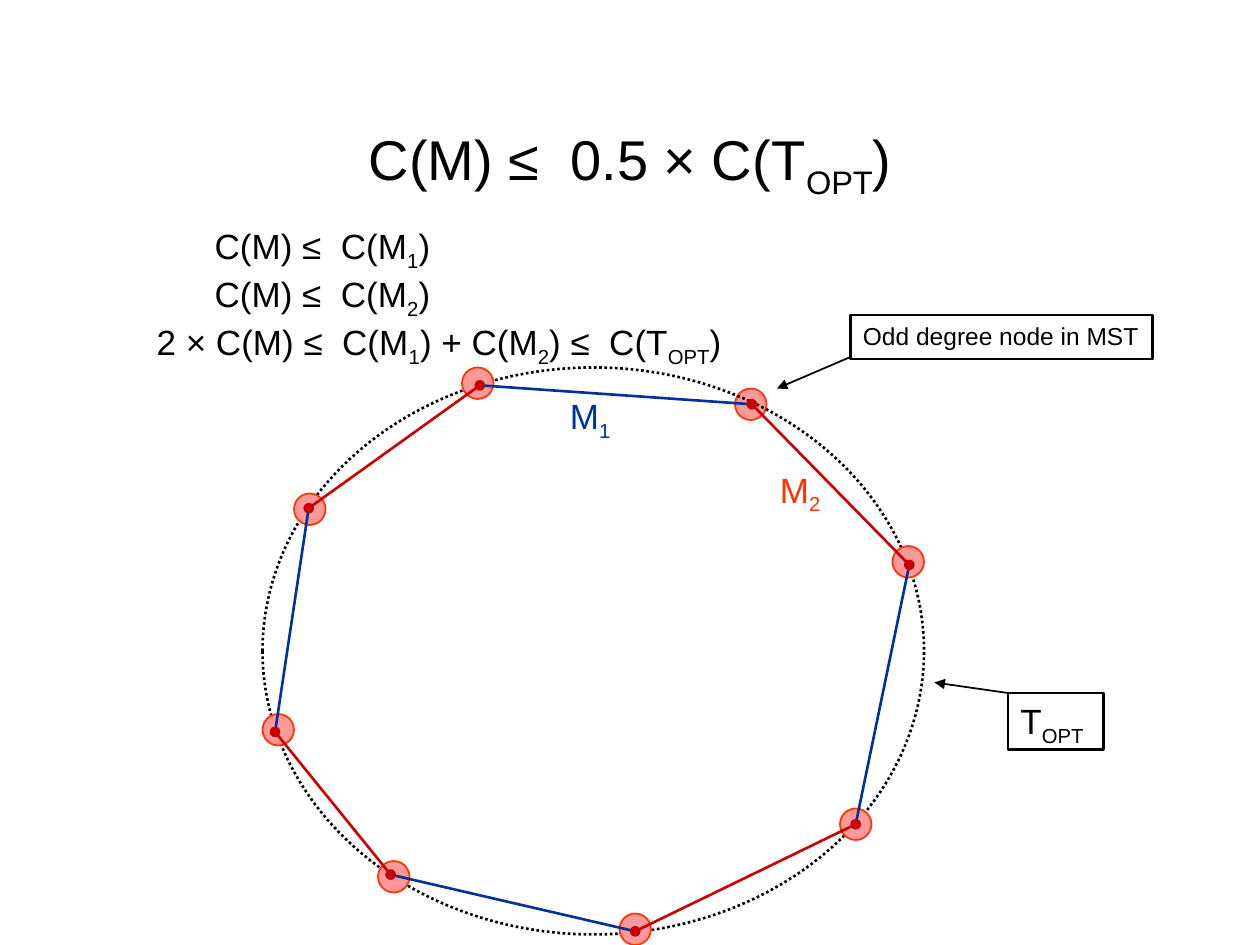
"""Build a slide bounding the matching cost by half the optimal tour."""
from dataclasses import dataclass
from typing import NamedTuple

from lxml import etree
from pptx import Presentation
from pptx import util as u
from pptx.dml.color import RGBColor
from pptx.enum import dml, shapes, text
from pptx.oxml.ns import qn


@dataclass(frozen=True)
class Theme:
    font: str = "Arial"
    ink: str = "000000"
    m1: str = "003399"
    m2: str = "CC0000"
    m2_label: str = "FF3300"
    node_fill: str = "FF9999"
    node_line: str = "FF3300"
    title: int = 32
    body: int = 20
    note: int = 14
    thin: float = 1
    thick: float = 1.5


class Point(NamedTuple):
    col: float
    row: float


class Box(NamedTuple):
    col: float
    row: float
    cols: float
    rows: float


class Node(NamedTuple):
    corner: Point
    stop: Point


class Label(NamedTuple):
    box: Box
    words: str
    size: int
    color: str
    framed: bool


class Line(NamedTuple):
    words: str
    indent: float


THEME = Theme()
COLS, ROWS = 120, 90
WIDTH, HEIGHT = u.Inches(10), u.Inches(7.5)
NODE_SIZE = 3
TOUR = Box(25, 35, 63, 54)

NODES = [
    Node(Point(44, 35), Point(45.7, 36.7)),
    Node(Point(70, 37), Point(71.6, 38.5)),
    Node(Point(85, 52), Point(86.6, 53.8)),
    Node(Point(80, 77), Point(81.5, 78.5)),
    Node(Point(59, 87), Point(60.5, 88.7)),
    Node(Point(36, 82), Point(37.2, 83.3)),
    Node(Point(25, 68), Point(26.2, 69.7)),
    Node(Point(28, 47), Point(29.4, 48.4)),
]
LINES = [
    Line("C(M) ≤  C(M|1|)", 0.77),
    Line("C(M) ≤  C(M|2|)", 0.77),
    Line("2 × C(M) ≤  C(M|1|) + C(M|2|) ≤  C(T|OPT|)", 0.31),
]
LABELS = [
    Label(Box(53, 37, 6.4, 5.2), "M|1", THEME.body, THEME.m1, False),
    Label(Box(73, 44, 6.4, 5.2), "M|2", THEME.body, THEME.m2_label, False),
    Label(Box(81, 30, 28.8, 4.2), "Odd degree node in MST", THEME.note, THEME.ink, True),
    Label(Box(96, 66, 9.1, 5.4), "T|OPT", THEME.body, THEME.ink, True),
]
POINTERS = [(Point(81, 34), Point(74, 37)), (Point(96, 66), Point(89, 65))]


def x(cols: float) -> int:
    return round(WIDTH * cols / COLS)


def y(rows: float) -> int:
    return round(HEIGHT * rows / ROWS)


def place(sp, box: Box) -> None:
    sp.left, sp.top, sp.width, sp.height = x(box.col), y(box.row), x(box.cols), y(box.rows)


def set_line(sp, color: str, width: float) -> None:
    sp.line.color.rgb = RGBColor.from_string(color)
    sp.line.width = u.Pt(width)


def write(p, words: str, size: int, color: str) -> None:
    """Write words in which every second part between bars is a subscript."""
    for i, part in enumerate(words.split("|")):
        r = p.add_run()
        r.text = part
        r.font.name, r.font.size = THEME.font, u.Pt(size)
        r.font.color.rgb = RGBColor.from_string(color)
        if i % 2:
            r.font._element.set("baseline", "-25000")


def add_ellipse(s, box: Box, color: str, width: float, fill: str = ""):
    sp = s.shapes.add_shape(shapes.MSO_SHAPE.OVAL, x(box.col), y(box.row), x(box.cols), y(box.rows))
    sp.shadow.inherit = False
    set_line(sp, color, width)
    if fill:
        sp.fill.solid()
        sp.fill.fore_color.rgb = RGBColor.from_string(fill)
    else:
        sp.fill.background()
    return sp


def add_node(s, node: Node) -> None:
    add_ellipse(s, Box(*node.corner, NODE_SIZE, NODE_SIZE), THEME.node_line, THEME.thin, THEME.node_fill)


def add_line(s, start: Point, end: Point, color: str, width: float, **ends: str) -> None:
    sp = s.shapes.add_connector(shapes.MSO_CONNECTOR.STRAIGHT, x(start.col), y(start.row), x(end.col), y(end.row))
    set_line(sp, color, width)
    ln = sp.line._get_or_add_ln()
    for name, kind in ends.items():
        etree.SubElement(ln, qn(f"a:{name}"), type=kind)
    etree.SubElement(sp._element.spPr, qn("a:effectLst"))


def add_label(s, label: Label) -> None:
    box = label.box
    sp = s.shapes.add_textbox(x(box.col), y(box.row), x(box.cols), y(box.rows))
    if label.framed:
        set_line(sp, THEME.ink, THEME.thick)
    tf = sp.text_frame
    tf.word_wrap = False
    tf.auto_size = text.MSO_AUTO_SIZE.SHAPE_TO_FIT_TEXT
    p = tf.paragraphs[0]
    p.alignment = text.PP_ALIGN.LEFT if label.framed else text.PP_ALIGN.CENTER
    write(p, label.words, label.size, label.color)


def fill_title(sp) -> None:
    place(sp, Box(9, 8, 102, 15))
    tf = sp.text_frame
    tf.auto_size = text.MSO_AUTO_SIZE.NONE
    tf.vertical_anchor = text.MSO_ANCHOR.MIDDLE
    p = tf.paragraphs[0]
    p.alignment = text.PP_ALIGN.CENTER
    write(p, "C(M) ≤  0.5 × C(T|OPT|)", THEME.title, THEME.ink)


def fill_body(sp) -> None:
    place(sp, Box(10, 20.8, 62, 13.2))
    tf = sp.text_frame
    tf.auto_size = text.MSO_AUTO_SIZE.NONE
    for i, line in enumerate(LINES):
        p = tf.add_paragraph() if i else tf.paragraphs[0]
        p.space_before = u.Pt(0)
        pPr = p._p.get_or_add_pPr()
        pPr.set("marL", str(u.Inches(line.indent)))
        pPr.set("indent", "0")
        etree.SubElement(pPr, qn("a:buNone"))
        write(p, line.words, THEME.body, THEME.ink)


def main() -> None:
    prs = Presentation()
    prs.slide_width, prs.slide_height = WIDTH, HEIGHT
    s = prs.slides.add_slide(prs.slide_layouts[1])
    fill_title(s.shapes.title)
    fill_body(s.placeholders[1])
    add_node(s, NODES[1])
    tour = add_ellipse(s, TOUR, THEME.ink, THEME.thick)
    tour.line.dash_style = dml.MSO_LINE.ROUND_DOT
    for node in NODES[:1] + NODES[2:]:
        add_node(s, node)
    stops = [node.stop for node in NODES]
    links = list(zip(stops, stops[1:] + stops[:1]))
    for matching, color in ((links[::2], THEME.m1), (links[1::2], THEME.m2)):
        for start, end in matching:
            add_line(s, start, end, color, THEME.thick, headEnd="oval", tailEnd="oval")
    for label in LABELS:
        add_label(s, label)
    for start, end in POINTERS:
        add_line(s, start, end, THEME.ink, THEME.thin, tailEnd="triangle")
    prs.save("out.pptx")


if __name__ == "__main__":
    main()
